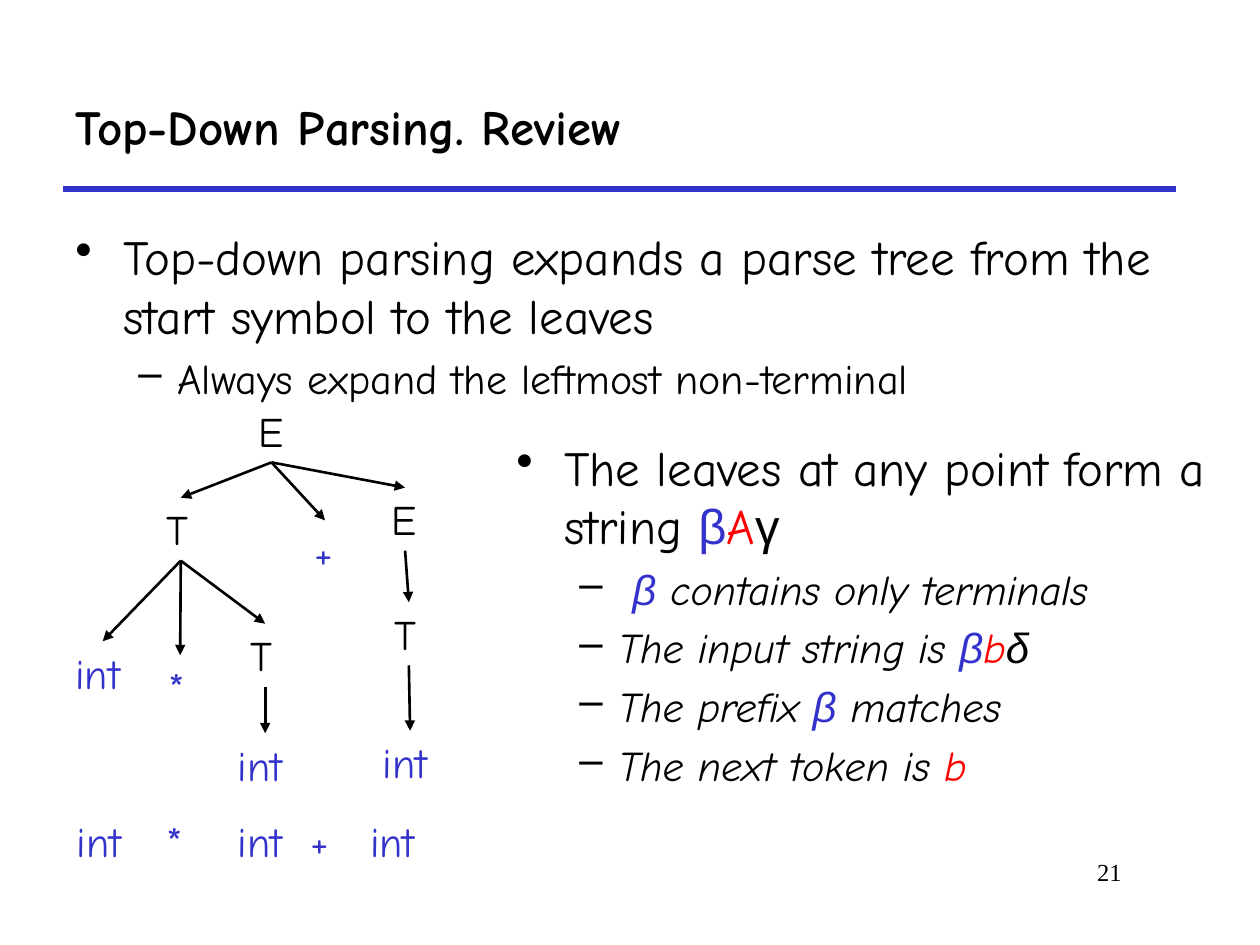
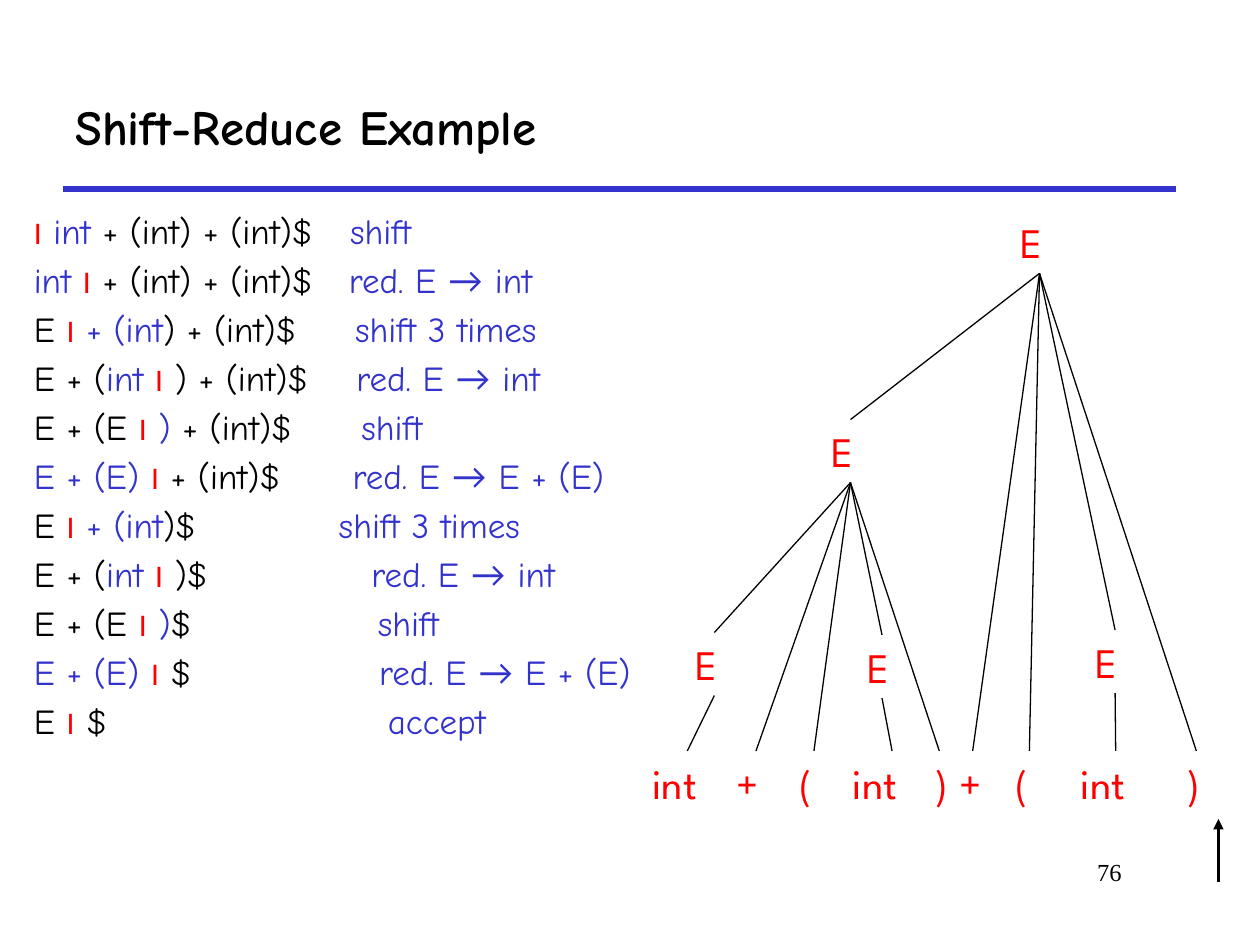
from dataclasses import dataclass
from itertools import groupby

from lxml.etree import SubElement as Sub
from pptx import Presentation
from pptx.dml.color import RGBColor as Rgb
from pptx.enum.shapes import MSO_CONNECTOR as Conn
from pptx.enum.text import MSO_ANCHOR as Anchor, PP_ALIGN as Align
from pptx.oxml.ns import qn
from pptx.shapes.autoshape import Shape
from pptx.shapes.connector import Connector
from pptx.slide import Slide
from pptx.util import Inches, Pt


# Theme
@dataclass(frozen=True)
class Theme:
    black: str = "000000"
    blue: str = "3333CC"
    red: str = "FF0000"
    main: str = "Comic Neue"
    tree: str = "League Spartan"
    page: str = "Times New Roman"
    big: int = 28
    mid: int = 24
    code: int = 20
    bar: int = 18
    small: int = 14


THEME = Theme()

# Text marks: { blue, < red, } back to the base colour
HUES = {"{": THEME.blue, "<": THEME.red, "}": None}
FONTS = {"β": "Arial", "γ": "Arial", "δ": "Arial", "→": "Lato", "|": "Calibri"}
BULLETS = (("•", 0.38, -0.38), ("–", 0.81, -0.31))


@dataclass(frozen=True)
class Para:
    text: str
    size: int = THEME.mid
    level: int | None = None
    italic: bool = False
    tabs: tuple[float, ...] = ()


@dataclass(frozen=True)
class Node:
    text: str
    left: float
    top: float
    width: float
    kids: tuple["Node", ...] = ()


@dataclass(frozen=True)
class Look:
    font: str
    inner: str
    leaf: str
    weight: float
    arrow: bool


# Text
def chunks(text: str, hue: str, font: str, size: int):
    """Split marked text into runs of one colour, font and size."""
    base, marked = hue, []
    for char in text:
        if char in HUES:
            hue = HUES[char] or base
        elif char == "|":
            marked.append(("I", (THEME.red, FONTS[char], THEME.bar)))
        else:
            marked.append((char, (hue, FONTS.get(char, font), size)))
    for style, group in groupby(marked, key=lambda pair: pair[1]):
        yield "".join(char for char, _ in group), style


def write(slide: Slide, text: str | list[Para], left: float, top: float,
          width: float, height: float, *, size: int = THEME.mid,
          hue: str = THEME.black, font: str = THEME.main, bold: bool = False,
          align: Align = Align.LEFT, anchor: Anchor = Anchor.TOP,
          inset: float = 0.05) -> Shape:
    box = slide.shapes.add_textbox(*map(Inches, (left, top, width, height)))
    frame = box.text_frame
    frame.word_wrap = True
    frame.vertical_anchor = anchor
    frame.margin_top = Inches(inset)
    paras = [Para(text, size)] if isinstance(text, str) else text
    for i, item in enumerate(paras):
        para = frame.add_paragraph() if i else frame.paragraphs[0]
        para.alignment = align
        if i:
            para.space_before = Pt(0.2 * item.size)
        props = para._p.get_or_add_pPr()
        if item.level is not None:
            sign, margin, indent = BULLETS[item.level]
            para.level = item.level
            props.set("marL", str(Inches(margin)))
            props.set("indent", str(Inches(indent)))
            Sub(props, qn("a:buChar"), char=sign)
        if item.tabs:
            stops = Sub(props, qn("a:tabLst"))
            for stop in item.tabs:
                Sub(stops, qn("a:tab"), pos=str(Inches(stop)), algn="l")
        for part, (color, name, points) in chunks(item.text, hue, font, item.size):
            run = para.add_run()
            run.text = part
            run.font.name = name
            run.font.size = Pt(points)
            run.font.bold = bold
            run.font.italic = item.italic
            run.font.color.rgb = Rgb.from_string(color)
    return box


# Lines
def link(slide: Slide, start: tuple[float, float] = (0, 0),
         end: tuple[float, float] = (0, 0), *, hue: str = THEME.black,
         weight: float = 1.5, arrow: bool = False) -> Connector:
    line = slide.shapes.add_connector(Conn.STRAIGHT, *map(Inches, start + end))
    line.line.color.rgb = Rgb.from_string(hue)
    line.line.width = Pt(weight)
    if arrow:
        Sub(line.line._get_or_add_ln(), qn("a:tailEnd"), type="triangle")
    Sub(line._element.spPr, qn("a:effectLst"))
    return line


def grow(slide: Slide, node: Node, look: Look) -> Shape:
    """Draw a parse tree, each child joined below its parent."""
    box = write(slide, node.text, node.left, node.top, node.width, 0.5,
                font=look.font, hue=look.inner if node.kids else look.leaf)
    for kid in node.kids:
        child = grow(slide, kid, look)
        edge = link(slide, weight=look.weight, arrow=look.arrow)
        edge.begin_connect(box, 2)
        edge.end_connect(child, 0)
    return box


# Shared slide frame
def start(deck, title: str, page: int) -> Slide:
    slide = deck.slides.add_slide(deck.slide_layouts[6])
    link(slide, (0.5, 1.5), (9.33, 1.5), hue=THEME.blue, weight=3)
    write(slide, title, 0.5, 0.5, 8.83, 1, size=THEME.big, bold=True,
          anchor=Anchor.MIDDLE)
    write(slide, str(page), 6.92, 6.75, 2.08, 0.5, size=THEME.small,
          font=THEME.page, align=Align.RIGHT)
    return slide


# Top-down slide
TOP_TREE = Node("E", 1.95, 3.17, 0.41, (
    Node("T", 1.22, 3.95, 0.43, (
        Node("int", 0.5, 5.09, 0.63),
        Node("*", 1.24, 5.2, 0.38),
        Node("T", 1.89, 4.95, 0.43, (Node("int", 1.79, 5.82, 0.63),)))),
    Node("+", 2.4, 4.13, 0.36),
    Node("E", 3.01, 3.87, 0.41, (
        Node("T", 3.03, 4.78, 0.43, (Node("int", 2.94, 5.8, 0.63),)),))))

INTRO = [
    Para("Top-down parsing expands a parse tree from the start symbol to the leaves",
         THEME.big, 0),
    Para("Always expand the leftmost non-terminal", level=1),
]
LEAVES = [Para("The leaves at any point form a string {β<A}γ", THEME.big, 0)] + [
    Para(text, level=1, italic=True) for text in (
        " {β} contains only terminals",
        "The input string is {β<b}δ",
        "The prefix {β} matches",
        "The next token is <b")]


def top_down(deck) -> None:
    slide = start(deck, "Top-Down Parsing. Review", 21)
    write(slide, INTRO, 0.5, 1.75, 9.08, 1.5)
    grow(slide, TOP_TREE, Look(THEME.main, THEME.black, THEME.blue, 1.5, True))
    tokens = Para("int\t*\tint\t+\tint", tabs=(0.71, 1.28, 1.86, 2.33))
    write(slide, [tokens], 0.51, 6.42, 3, 0.5, hue=THEME.blue)
    write(slide, LEAVES, 4, 3.42, 5.67, 3.17)


# Shift-reduce slide: parser state, action, place of the action
STEPS = (
    ("| {int} + (int) + (int)$", "shift", 2.51),
    ("{int} | + (int) + (int)$", "red. E → int", 2.5),
    ("E | {+ (int}) + (int)$", "shift 3 times", 2.55),
    ("E + ({int} | ) + (int)$", "red. E → int", 2.56),
    ("E + (E | {)} + (int)$", "shift", 2.6),
    ("{E + (E)} | + (int)$", "red. E → E + (E)", 2.53),
    ("E | {+ (int})$", "shift 3 times", 2.42),
    ("E + ({int} | )$", "red. E → int", 2.68),
    ("E + (E | {)}$", "shift", 2.73),
    ("{E + (E)} | $", "red. E → E + (E)", 2.74),
    ("E | $", "accept", 2.81),
)

BASE = 5.96
SHIFT_TREE = Node("E", 8, 1.67, 0.5, (
    Node("E", 6.5, 3.33, 0.5, (
        Node("E", 5.42, 5.02, 0.5, (Node("int", 5.08, BASE, 0.75),)),
        Node("+", 5.75, BASE, 0.5),
        Node("(", 6.25, BASE, 0.42),
        Node("E", 6.79, 5.04, 0.42, (Node("int", 6.67, BASE, 0.82),)),
        Node(")", 7.33, BASE, 0.25))),
    Node("+", 7.52, BASE, 0.4),
    Node("(", 7.96, BASE, 0.42),
    Node("E", 8.6, 5, 0.5, (Node("int", 8.48, BASE, 0.75),)),
    Node(")", 9.33, BASE, 0.33)))


def shift_reduce(deck) -> None:
    slide = start(deck, "Shift-Reduce Example", 76)
    rows = [Para(f"{state}\t{{{action}", THEME.code, tabs=(tab,))
            for state, action, tab in STEPS]
    write(slide, rows, 0.17, 1.08, 5.17, 6.08, inset=0.58)
    grow(slide, SHIFT_TREE, Look(THEME.tree, THEME.red, THEME.red, 0.75, False))
    link(slide, (9.67, 7), (9.67, 6.5), arrow=True)


def main() -> None:
    deck = Presentation()
    deck.slide_width, deck.slide_height = Inches(10), Inches(7.5)
    top_down(deck)
    shift_reduce(deck)
    deck.save("out.pptx")


if __name__ == "__main__":
    main()
